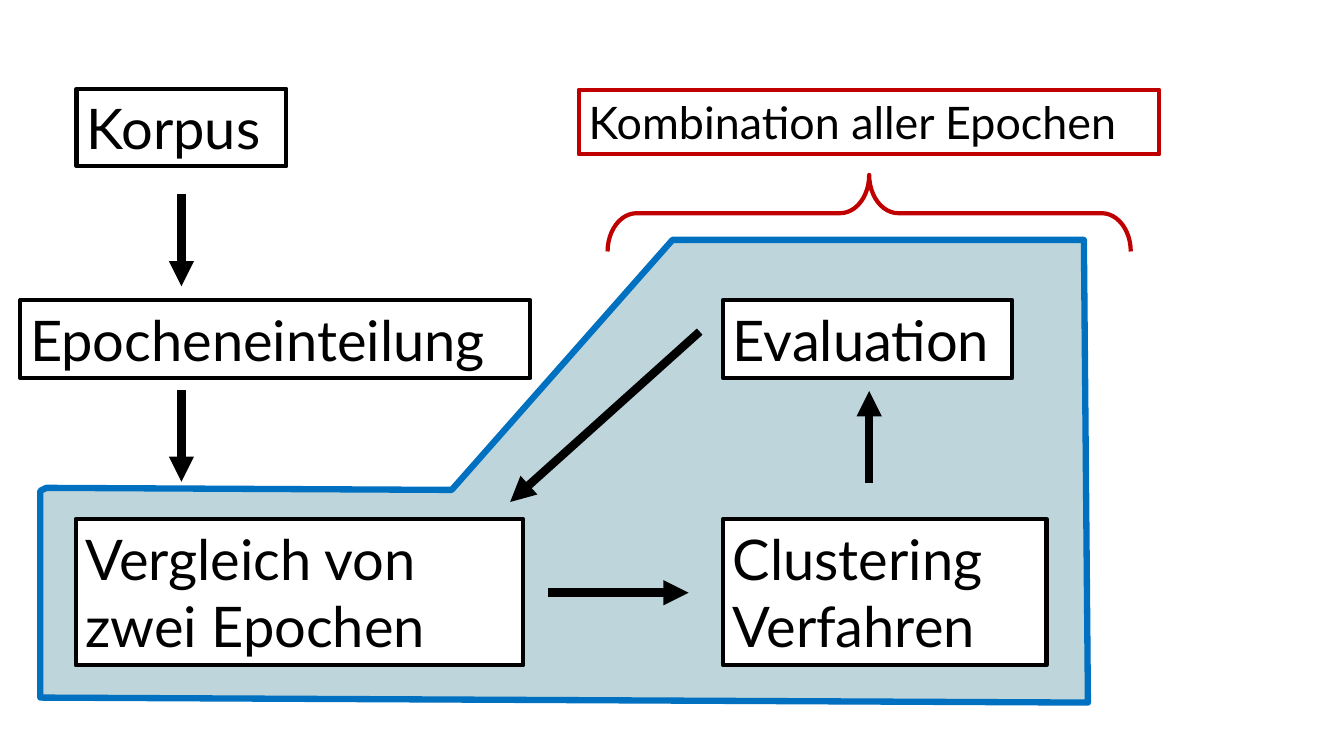
from dataclasses import dataclass

from lxml import etree
from pptx import Presentation
from pptx.dml.color import RGBColor
from pptx.enum.shapes import MSO_CONNECTOR, MSO_SHAPE
from pptx.enum.text import MSO_AUTO_SIZE
from pptx.oxml.ns import qn
from pptx.slide import Slide
from pptx.util import Emu, Inches, Pt

STRAIGHT = MSO_CONNECTOR.STRAIGHT
RIGHT_BRACE = MSO_SHAPE.RIGHT_BRACE
GROW = MSO_AUTO_SIZE.SHAPE_TO_FIT_TEXT

FONT = "Lato"
COLORS = {
    "black": "000000",
    "white": "FFFFFF",
    "red": "C00000",
    "blue": "0070C0",
    "area": "BDD5DB",
}
SLIDE_WIDTH = Inches(13.33)
SLIDE_HEIGHT = Inches(7.5)

# All positions and sizes are percentages of the slide's width and height.
LEFT_ARROW_X = 13.5
RIGHT_BOX_X = 53.79
RIGHT_CENTER_X = 64.67
MIDDLE_ROW_Y = 39.73
BOTTOM_ROW_Y = 68.67
LINE_BOX_HEIGHT = 10.27
DOUBLE_BOX_HEIGHT = 19.33


@dataclass(frozen=True)
class Box:
    text: str
    left: float
    top: float
    width: float
    height: float
    filled: bool = False
    outline: str = "black"
    size: int = 40
    wrap: bool = True


@dataclass(frozen=True)
class Arrow:
    start: tuple[float, float]
    end: tuple[float, float]


CYCLE_AREA = [
    (3, 64.93), (3, 92.27), (80.95, 92.93), (80.65, 31.73),
    (50.04, 31.73), (33.61, 64.8), (3.45, 64.53),
]
BOXES = [
    Box("Korpus", 5.7, 11.73, 15.6, LINE_BOX_HEIGHT),
    Box("Epocheneinteilung", 1.5, MIDDLE_ROW_Y, 37.96, LINE_BOX_HEIGHT),
    Box("Vergleich von zwei Epochen", 5.63, BOTTOM_ROW_Y, 33.31, DOUBLE_BOX_HEIGHT, filled=True),
    Box("Evaluation", RIGHT_BOX_X, MIDDLE_ROW_Y, 21.53, LINE_BOX_HEIGHT, filled=True),
    Box("Clustering\nVerfahren", RIGHT_BOX_X, BOTTOM_ROW_Y, 24.08, DOUBLE_BOX_HEIGHT, filled=True),
    Box("Kombination aller Epochen", 43.06, 11.87, 43.21, 8.53,
        outline="red", size=32, wrap=False),
]
ARROWS = [
    Arrow((LEFT_ARROW_X, 25.73), (LEFT_ARROW_X, 37.87)),
    Arrow((LEFT_ARROW_X, 51.6), (LEFT_ARROW_X, 63.73)),
    Arrow((40.81, 78.4), (51.24, 78.4)),
    Arrow((RIGHT_CENTER_X, 63.87), (RIGHT_CENTER_X, 51.73)),
    Arrow((52.06, 43.87), (37.96, 66.4)),
]


def across(percent: float) -> Emu:
    return Emu(round(SLIDE_WIDTH * percent / 100))


def down(percent: float) -> Emu:
    return Emu(round(SLIDE_HEIGHT * percent / 100))


def color(name: str) -> RGBColor:
    return RGBColor.from_string(COLORS[name])


def set_line(shape, name: str, width: float) -> None:
    shape.line.color.rgb = color(name)
    shape.line.width = Pt(width)


def set_fill(shape, name: str) -> None:
    shape.fill.solid()
    shape.fill.fore_color.rgb = color(name)


def draw_cycle_area(slide: Slide) -> None:
    first, *others = [(across(x), down(y)) for x, y in CYCLE_AREA]
    builder = slide.shapes.build_freeform(*first)
    builder.add_line_segments(others, close=True)
    area = builder.convert_to_shape()
    area.shadow.inherit = False
    set_fill(area, "area")
    set_line(area, "blue", 4.5)


def draw_box(slide: Slide, box: Box) -> None:
    shape = slide.shapes.add_textbox(
        across(box.left), down(box.top), across(box.width), down(box.height))
    if box.filled:
        set_fill(shape, "white")
    set_line(shape, box.outline, 3)
    text_frame = shape.text_frame
    text_frame.word_wrap = box.wrap
    text_frame.auto_size = GROW
    text_frame.text = box.text
    for paragraph in text_frame.paragraphs:
        for run in paragraph.runs:
            run.font.name = FONT
            run.font.size = Pt(box.size)
            run.font.color.rgb = color("black")


def draw_arrow(slide: Slide, arrow: Arrow) -> None:
    (start_x, start_y), (end_x, end_y) = arrow.start, arrow.end
    connector = slide.shapes.add_connector(
        STRAIGHT, across(start_x), down(start_y), across(end_x), down(end_y))
    set_line(connector, "black", 6)
    properties = connector.element.spPr
    etree.SubElement(properties.find(qn("a:ln")), qn("a:tailEnd"), type="triangle")
    etree.SubElement(properties, qn("a:effectLst"))


def draw_brace(slide: Slide) -> None:
    """Draw a right brace turned so that its tip points up."""
    span, depth = across(38.93), down(10.13)
    brace = slide.shapes.add_shape(
        RIGHT_BRACE, across(RIGHT_CENTER_X) - depth // 2, down(28.2) - span // 2, depth, span)
    brace.rotation = 270
    brace.adjustments[0] = 0.38
    brace.shadow.inherit = False
    brace.fill.background()
    set_line(brace, "red", 3)


def main() -> None:
    presentation = Presentation()
    presentation.slide_width = SLIDE_WIDTH
    presentation.slide_height = SLIDE_HEIGHT
    slide = presentation.slides.add_slide(presentation.slide_layouts[6])
    draw_cycle_area(slide)
    for box in BOXES:
        draw_box(slide, box)
    for arrow in ARROWS:
        draw_arrow(slide, arrow)
    draw_brace(slide)
    presentation.save("out.pptx")


if __name__ == "__main__":
    main()
